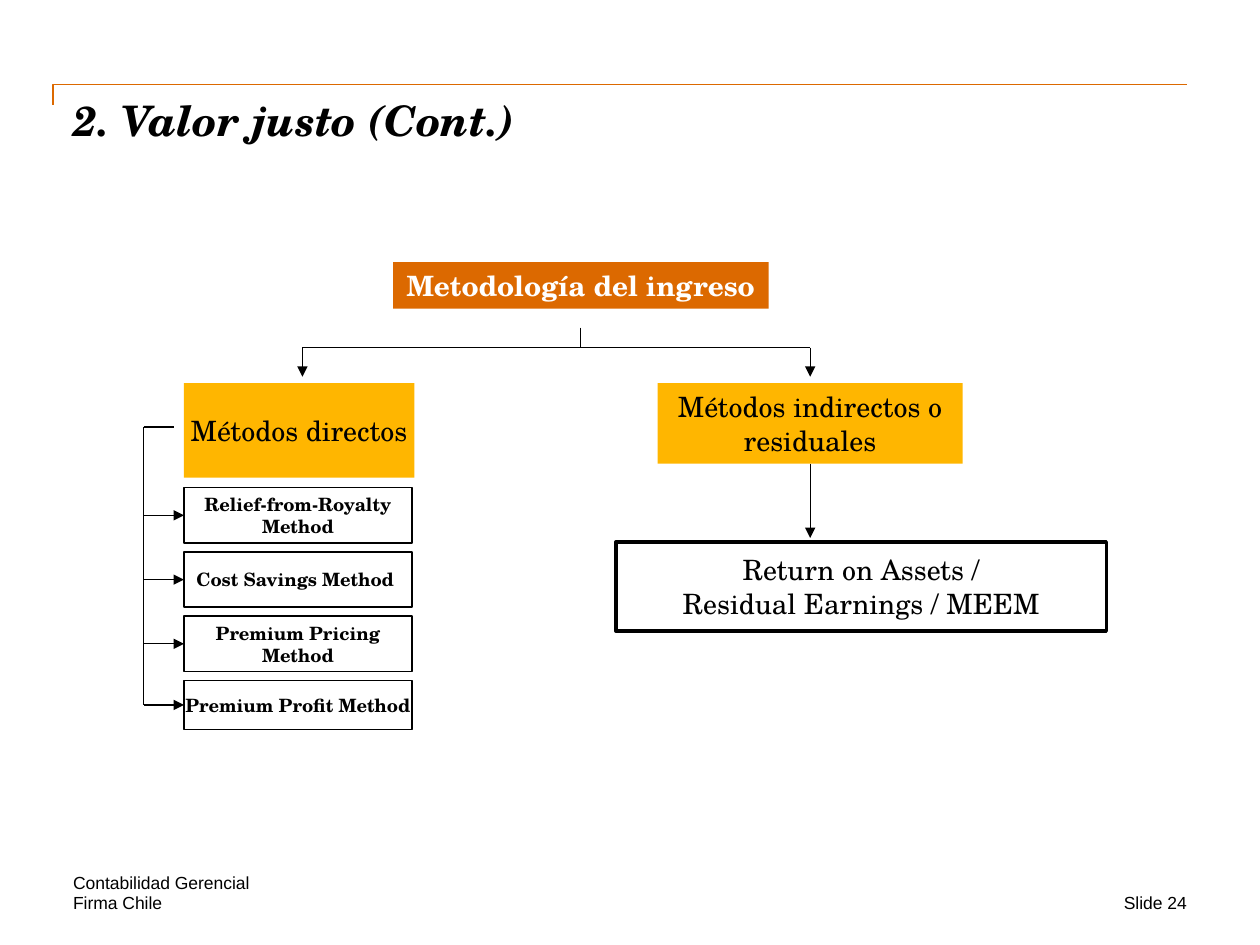
from dataclasses import dataclass
from typing import Optional

from lxml import etree
from pptx import Presentation
from pptx.dml.color import RGBColor
from pptx.enum.shapes import MSO_CONNECTOR, MSO_SHAPE
from pptx.enum.text import MSO_ANCHOR, MSO_AUTO_SIZE, PP_ALIGN
from pptx.oxml.ns import qn
from pptx.util import Inches, Pt

STRAIGHT, RECT = MSO_CONNECTOR.STRAIGHT, MSO_SHAPE.RECTANGLE
TOP, MIDDLE, BOTTOM = MSO_ANCHOR.TOP, MSO_ANCHOR.MIDDLE, MSO_ANCHOR.BOTTOM
LEFT, CENTER, RIGHT = PP_ALIGN.LEFT, PP_ALIGN.CENTER, PP_ALIGN.RIGHT
SIDE_LEFT, SIDE_BOTTOM = 1, 2

# Grid of square cells over the slide
SLIDE_W, SLIDE_H = Inches(10), Inches(7.5)
COLS, ROWS = 100, 75


@dataclass(frozen=True)
class Theme:
    serif: str = "TeX Gyre Schola"
    sans: str = "Arial"
    orange: str = "DC6900"
    amber: str = "FFB600"
    white: str = "FFFFFF"
    black: str = "000000"
    title: float = 24
    node: float = 16
    method: float = 10.5
    footer: float = 10
    thin: float = 0.75


T = Theme()


@dataclass(frozen=True)
class Area:
    col: float
    row: float
    cols: float
    rows: float

    def emu(self) -> tuple:
        return x(self.col), y(self.row), x(self.cols), y(self.rows)


@dataclass(frozen=True)
class Node:
    text: str
    area: Area
    fill: str
    color: str = T.black
    size: float = T.node
    bold: bool = False
    border: float = 0
    align: PP_ALIGN = CENTER
    wrap: bool = False


def x(cols: float) -> int:
    return round(SLIDE_W * cols / COLS)


def y(rows: float) -> int:
    return round(SLIDE_H * rows / ROWS)


def rgb(value: str) -> RGBColor:
    return RGBColor.from_string(value)


def write(tf, text: str, *, size: float, font: str = T.serif, color: str = T.black,
          bold: bool = False, italic: bool = False, align: PP_ALIGN = LEFT,
          anchor: MSO_ANCHOR = TOP, wrap: bool = True, inset: tuple = (0, 0)) -> None:
    """Fill a text frame, one paragraph for each line of text."""
    tf.auto_size = MSO_AUTO_SIZE.NONE
    tf.word_wrap, tf.vertical_anchor = wrap, anchor
    tf.margin_left = tf.margin_right = Inches(inset[0])
    tf.margin_top = tf.margin_bottom = Inches(inset[1])
    for i, line in enumerate(text.split("\n")):
        p = tf.add_paragraph() if i else tf.paragraphs[0]
        p.alignment = align
        r = p.add_run()
        r.text = line
        r.font.name, r.font.size = font, Pt(size)
        r.font.bold, r.font.italic = bold, italic
        r.font.color.rgb = rgb(color)


def draw_node(s, node: Node):
    sp = s.shapes.add_shape(RECT, *node.area.emu())
    sp.shadow.inherit = False
    sp.fill.solid()
    sp.fill.fore_color.rgb = rgb(node.fill)
    if node.border:
        sp.line.color.rgb = rgb(T.black)
        sp.line.width = Pt(node.border)
    else:
        sp.line.fill.background()
    write(sp.text_frame, node.text, size=node.size, color=node.color, bold=node.bold,
          align=node.align, anchor=MIDDLE, wrap=node.wrap, inset=(0.1, 0.05))
    return sp


def draw_line(s, start: tuple, end: tuple, arrow: bool = False,
              begin_at: Optional[tuple] = None, end_at: Optional[tuple] = None) -> None:
    """Draw a line between grid points; begin_at and end_at are (shape, side)."""
    c = s.shapes.add_connector(STRAIGHT, x(start[0]), y(start[1]), x(end[0]), y(end[1]))
    if begin_at:
        c.begin_connect(*begin_at)
    if end_at:
        c.end_connect(*end_at)
    c.line.color.rgb = rgb(T.black)
    c.line.width = Pt(T.thin)
    if arrow:
        etree.SubElement(c.line._get_or_add_ln(), qn("a:tailEnd"), type="triangle")
    etree.SubElement(c._element.spPr, qn("a:effectLst"))


def draw_frame(s) -> None:
    # Corner rule above the title
    fb = s.shapes.build_freeform(x(4.2), y(8.3))
    fb.add_line_segments([(x(4.2), y(6.7)), (x(94.2), y(6.7))], close=False)
    rule = fb.convert_to_shape()
    rule.shadow.inherit = False
    rule.fill.background()
    rule.line.color.rgb = rgb(T.orange)
    rule.line.width = Pt(1)

    # Title
    title = s.shapes.title
    title.left, title.top, title.width, title.height = Area(5.8, 7.5, 88.3, 10).emu()
    write(title.text_frame, "2. Valor justo (Cont.)", size=T.title, bold=True, italic=True)

    # Footer
    for text, area, align, anchor in (
        ("Contabilidad Gerencial", Area(5.8, 69.2, 57.5, 1.7), LEFT, BOTTOM),
        ("Firma Chile", Area(5.8, 70.8, 28.3, 1.7), LEFT, TOP),
        ("Slide 24", Area(77.5, 70.8, 16.7, 1.7), RIGHT, TOP),
    ):
        tb = s.shapes.add_textbox(*area.emu())
        write(tb.text_frame, text, size=T.footer, font=T.sans, align=align, anchor=anchor)


def draw_tree(s) -> None:
    # Root and its two branches
    root_x, direct_x, indirect_x = 46.1, 24, 64.3
    bar_y, drop_y = 27.6, 29.9
    draw_node(s, Node("Metodología del ingreso", Area(31.2, 20.8, 29.8, 3.7), T.orange,
                      color=T.white, bold=True))
    draw_line(s, (root_x, 26), (root_x, bar_y))
    draw_line(s, (direct_x, bar_y), (indirect_x, bar_y))
    for branch_x in (direct_x, indirect_x):
        draw_line(s, (branch_x, bar_y), (branch_x, drop_y), arrow=True)

    # Indirect methods
    indirect = draw_node(s, Node("Métodos indirectos o residuales",
                                 Area(indirect_x - 12.1, 30.4, 24.2, 6.4), T.amber, wrap=True))
    draw_line(s, (indirect_x, 36.8), (indirect_x, 42.7), arrow=True,
              begin_at=(indirect, SIDE_BOTTOM))
    draw_node(s, Node("Return on Assets /\nResidual Earnings / MEEM",
                      Area(48.9, 43, 38.9, 7.1), T.white, border=2))

    # Direct methods: equal steps down one trunk
    draw_node(s, Node("Métodos directos", Area(14.6, 30.4, 18.3, 7.5), T.amber))
    trunk_x, trunk_y, first, step = 11.4, 33.9, 38.7, 5.1
    methods = (
        ("Relief-from-Royalty\nMethod", 4.4, CENTER),
        ("Cost Savings Method", 4.4, LEFT),
        ("Premium Pricing\nMethod", 4.4, CENTER),
        ("Premium Profit Method", 3.9, CENTER),
    )
    draw_line(s, (trunk_x, trunk_y), (13.8, trunk_y))
    for i, (text, rows, align) in enumerate(methods):
        area = Area(14.6, first + i * step, 18.1, rows)
        box = draw_node(s, Node(text, area, T.white, size=T.method, bold=True,
                                border=1, align=align))
        mid = area.row + rows / 2
        draw_line(s, (trunk_x, mid), (area.col, mid), arrow=True, end_at=(box, SIDE_LEFT))
    draw_line(s, (trunk_x, trunk_y), (trunk_x, mid))


def main() -> None:
    prs = Presentation()
    prs.slide_width, prs.slide_height = SLIDE_W, SLIDE_H
    s = prs.slides.add_slide(prs.slide_layouts[5])
    draw_frame(s)
    draw_tree(s)
    prs.save("out.pptx")


if __name__ == "__main__":
    main()
